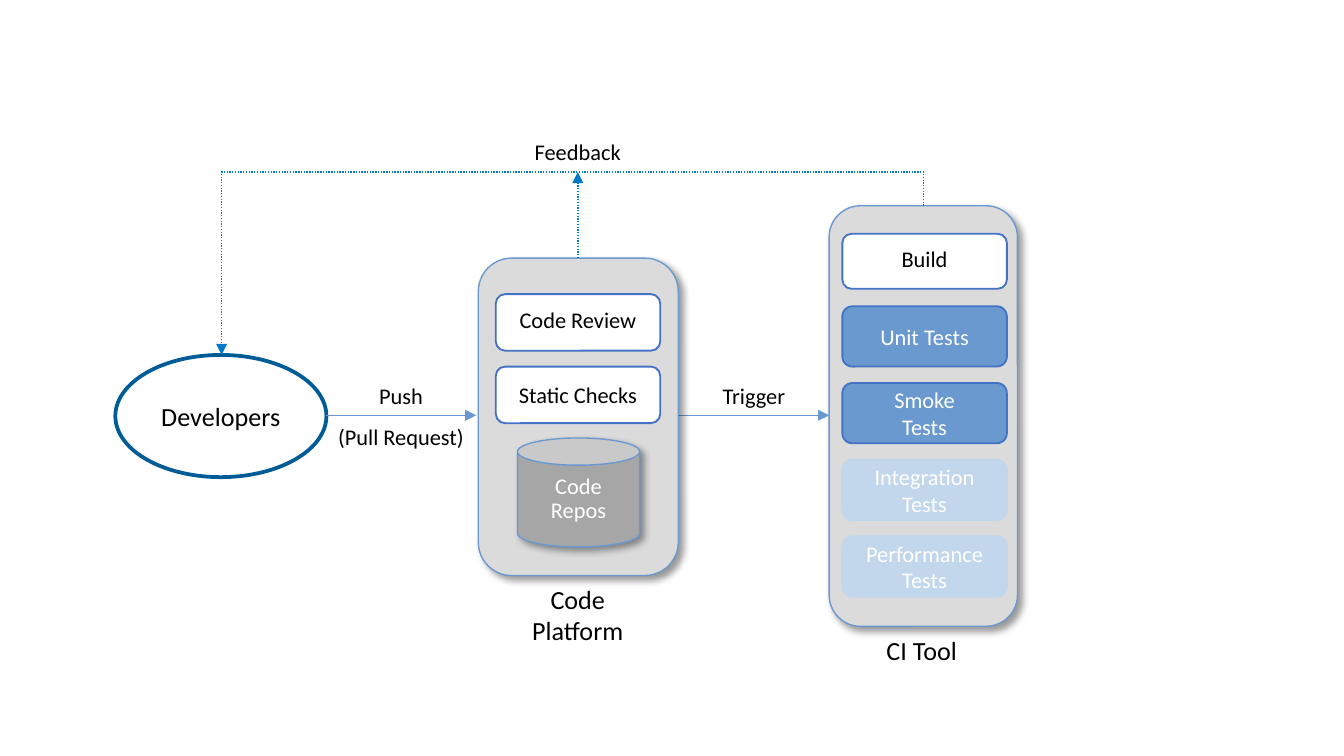
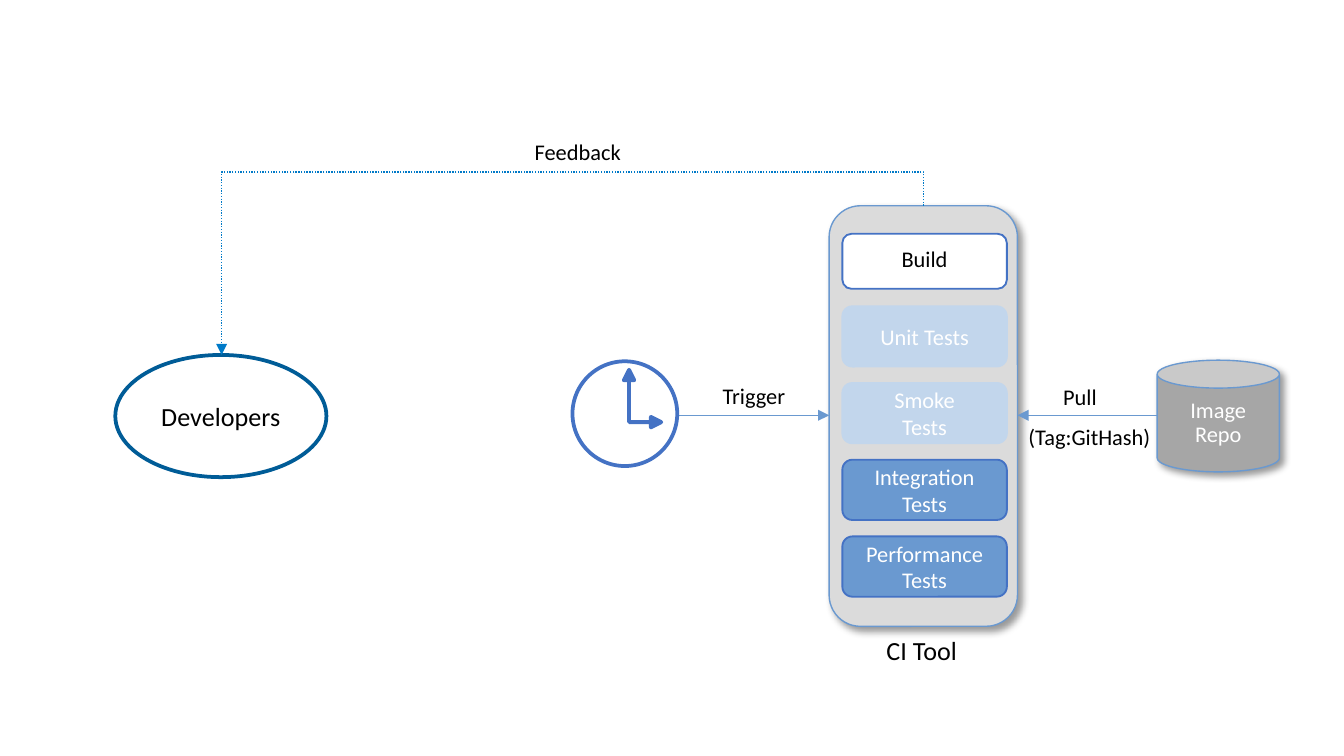
from dataclasses import dataclass
from lxml.etree import SubElement
from pptx import Presentation
from pptx.dml.color import RGBColor
from pptx.enum.dml import MSO_LINE
from pptx.enum.shapes import MSO_CONNECTOR, MSO_SHAPE
from pptx.enum.text import MSO_ANCHOR, MSO_AUTO_SIZE, PP_ALIGN
from pptx.oxml.ns import qn
from pptx.util import Cm, Pt


@dataclass(frozen=True)
class Theme:
    font: str = "Calibri"
    small: int = 12
    large: int = 14
    thin: float = 0.75
    edge: float = 1
    bold: float = 2
    black: str = "000000"
    white: str = "FFFFFF"
    panel: str = "DBDBDB"
    store: str = "A6A6A6"
    blue: str = "6A99D0"
    pale: str = "C2D6EC"
    royal: str = "4472C4"
    navy: str = "005C97"
    signal: str = "007AC8"


class Deck:
    def __init__(self, theme):
        self.theme = theme
        self.file = Presentation()
        self.file.slide_width, self.file.slide_height = Cm(25.4), Cm(14.29)
        self.slide = None

    def page(self):
        self.slide = self.file.slides.add_slide(self.file.slide_layouts[6])

    def letter(self, frame, text, size, color, space=None):
        frame.text = text
        for para in frame.paragraphs:
            para.alignment = PP_ALIGN.CENTER
            para.line_spacing = space
            para.font.name = self.theme.font
            para.font.size = Pt(size)
            para.font.color.rgb = RGBColor.from_string(color)

    def shape(self, kind, x, y, w, h, fill, line, width, shade=False):
        item = self.slide.shapes.add_shape(kind, Cm(x), Cm(y), Cm(w), Cm(h))
        if fill:
            item.fill.solid()
            item.fill.fore_color.rgb = RGBColor.from_string(fill)
        else:
            item.fill.background()
        item.line.color.rgb = RGBColor.from_string(line)
        item.line.width = Pt(width)
        item.shadow.inherit = False
        if shade:
            glow = SubElement(
                item._element.spPr.find(qn("a:effectLst")), qn("a:outerShdw"),
                blurRad=str(Pt(4)), dist=str(Pt(3)), dir="2700000",
                algn="tl", rotWithShape="0")
            tint = SubElement(glow, qn("a:srgbClr"), val=self.theme.black)
            SubElement(tint, qn("a:alpha"), val="40000")
        return item

    def panel(self, x, y, w, h):
        t = self.theme
        self.shape(MSO_SHAPE.ROUNDED_RECTANGLE, x, y, w, h,
                   t.panel, t.blue, t.thin, True)

    def inset(self, item, text, color, space=None):
        frame = item.text_frame
        frame.word_wrap = True
        frame.vertical_anchor = MSO_ANCHOR.MIDDLE
        frame.margin_left = frame.margin_right = Cm(0.33)
        frame.margin_top = frame.margin_bottom = Cm(0.33)
        self.letter(frame, text, self.theme.small, color, space)

    def box(self, x, y, h, text, fill, line, color, space=None):
        item = self.shape(MSO_SHAPE.ROUNDED_RECTANGLE, x, y, 3.11, h,
                          fill, line, self.theme.edge)
        self.inset(item, text, color, space)

    def step(self, x, y, h, text, space=None):
        t = self.theme
        self.box(x, y, h, text, t.white, t.royal, t.black, space)

    def test(self, x, y, text, live):
        t = self.theme
        fill, line = (t.blue, t.royal) if live else (t.pale, t.pale)
        self.box(x, y, 1.14, text, fill, line, t.white)

    def store(self, x, y, h, text):
        t = self.theme
        item = self.shape(MSO_SHAPE.CAN, x, y, 2.31, h,
                          t.store, t.blue, t.thin, True)
        self.inset(item, text, t.white, 0.9)

    def actor(self, x, y, w, h, text):
        t = self.theme
        item = self.shape(MSO_SHAPE.OVAL, x, y, w, h, t.white, t.navy, t.bold)
        item.text_frame.vertical_anchor = MSO_ANCHOR.MIDDLE
        self.letter(item.text_frame, text, t.large, t.black)

    def label(self, mid, y, w, text, size=None):
        size = size or self.theme.small
        h = 0.86 if size == self.theme.large else 0.77
        frame = self.slide.shapes.add_textbox(
            Cm(mid - w / 2), Cm(y), Cm(w), Cm(h)).text_frame
        frame.word_wrap = False
        frame.auto_size = MSO_AUTO_SIZE.SHAPE_TO_FIT_TEXT
        self.letter(frame, text, size, self.theme.black)

    def arrow(self, x1, y1, x2, y2, dots=False, kind=MSO_CONNECTOR.STRAIGHT):
        t = self.theme
        link = self.slide.shapes.add_connector(
            kind, Cm(x1), Cm(y1), Cm(x2), Cm(y2))
        link.line.color.rgb = RGBColor.from_string(t.signal if dots else t.blue)
        link.line.width = Pt(t.thin)
        if dots:
            link.line.dash_style = MSO_LINE.ROUND_DOT
        props = link._element.spPr
        SubElement(props.find(qn("a:ln")), qn("a:tailEnd"), type="triangle")
        SubElement(props, qn("a:effectLst"))
        return link

    def elbow(self, x1, y1, x2, y2, top):
        mid, level = (x1 + x2) / 2, (y1 + y2) / 2
        across, down = (x1 - x2) / 2, (y2 - y1) / 2
        link = self.arrow(mid + down, level + across, mid - down,
                          level - across, True, MSO_CONNECTOR.ELBOW)
        props = link._element.spPr
        props.find(qn("a:xfrm")).set("rot", "16200000")
        bend = round((top - y1) / (y2 - y1) * 100000)
        SubElement(props.find(qn("a:prstGeom")).find(qn("a:avLst")),
                   qn("a:gd"), name="adj1", fmla=f"val {bend}")

    def clock(self, x, y, size):
        t = self.theme
        hands = self.shape(MSO_SHAPE.LEFT_UP_ARROW, x + 0.97, y + 0.16,
                           0.71, 1.09, t.royal, t.royal, t.bold)
        for i, value in enumerate((0, 0.14, 0.28)):
            hands.adjustments[i] = value
        hands._element.spPr.find(qn("a:xfrm")).set("flipH", "1")
        face = self.shape(MSO_SHAPE.OVAL, x, y, size, size,
                          None, t.royal, t.bold)
        self.slide.shapes.add_group_shape([hands, face])


MID = 7.85
TOP = 3.25
TESTS = ("Unit Tests", "Smoke\nTests", "Integration\nTests", "Performance Tests")


def common(deck, live):
    deck.page()
    deck.panel(15.67, 3.89, 3.56, 7.95)
    deck.step(15.92, 4.42, 1.04, "Build", 0.8)
    for i, name in enumerate(TESTS):
        deck.test(15.92, 5.79 + 1.45 * i, name, i in live)
    deck.label(17.42, 11.86, 1.98, "CI Tool", deck.theme.large)
    deck.actor(2.18, 6.71, 3.99, 2.31, "Developers")
    deck.elbow(17.45, 3.89, 4.19, 6.71, TOP)
    deck.label(10.92, 2.49, 2.16, "Feedback")
    deck.arrow(12.83, MID, 15.67, MID)
    deck.label(14.25, 7.09, 1.73, "Trigger")


def review(deck):
    common(deck, (0, 1))
    deck.panel(9.04, 4.88, 3.78, 6)
    deck.step(9.37, 5.56, 1.07, "Code Review", 0.8)
    deck.step(9.37, 6.93, 1.07, "Static Checks")
    deck.store(9.78, 8.28, 2.06, "Code\nRepos")
    deck.label(10.92, 10.9, 3.35, "Code Platform", deck.theme.large)
    deck.arrow(10.92, 4.88, 10.92, TOP, True)
    deck.arrow(6.16, MID, 9, MID)
    deck.label(7.58, 7.09, 1.35, "Push")
    deck.label(7.58, 7.87, 2.92, "(Pull Request)")


def timed(deck):
    common(deck, (2, 3))
    deck.clock(10.82, 6.83, 1.98)
    deck.store(21.87, 6.81, 2.11, "Image\nRepo")
    deck.arrow(21.87, MID, 19.23, MID)
    deck.label(20.41, 7.11, 1.14, "Pull")
    deck.label(20.59, 7.87, 2.97, "(Tag:GitHash)")


def main():
    deck = Deck(Theme())
    review(deck)
    timed(deck)
    deck.file.save("out.pptx")


if __name__ == "__main__":
    main()
